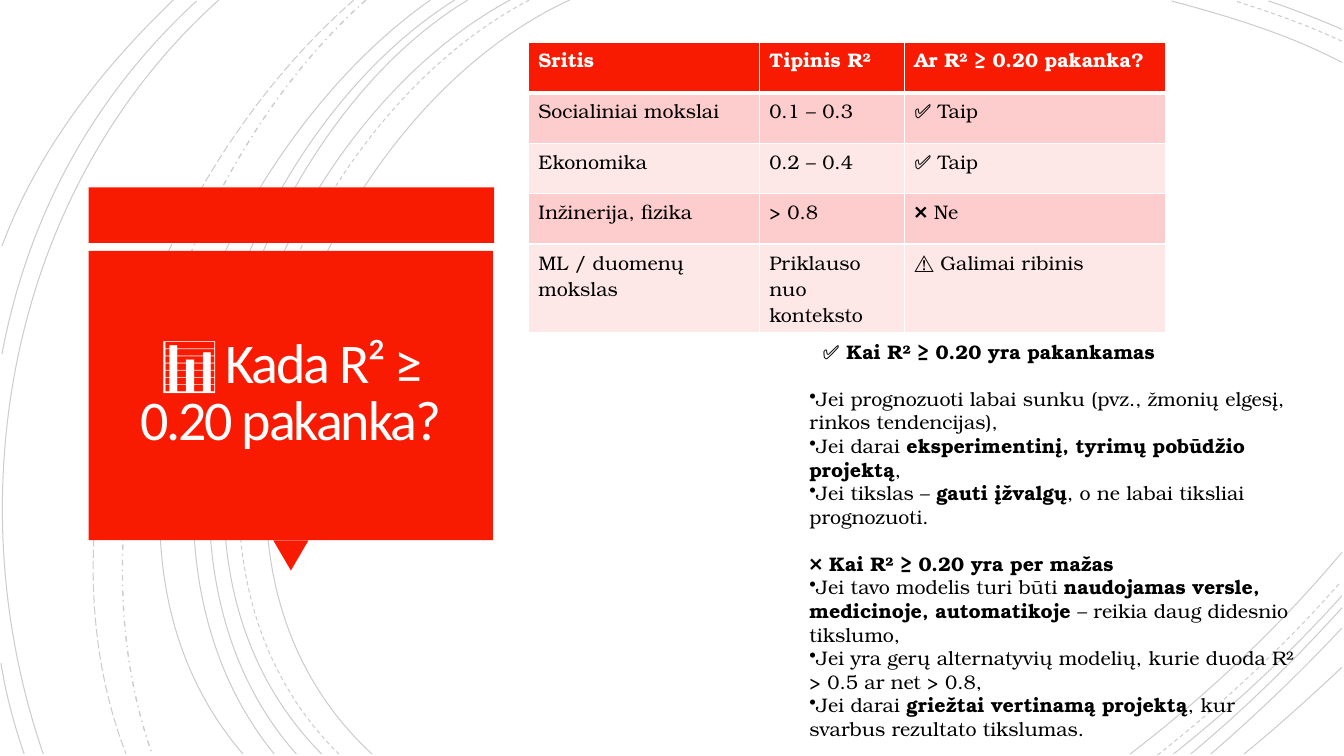
from dataclasses import dataclass
from typing import NamedTuple

import lxml.etree
import pptx
import pptx.dml.color
import pptx.enum.dml
import pptx.enum.shapes
import pptx.enum.text
import pptx.oxml.ns
import pptx.util

Inches = pptx.util.Inches
Pt = pptx.util.Pt
qn = pptx.oxml.ns.qn
SHAPE = pptx.enum.shapes.MSO_SHAPE
DASH = pptx.enum.dml.MSO_LINE


@dataclass(frozen=True)
class Theme:
    red: str = "F81B02"
    band_dark: str = "FCCDCC"
    band_light: str = "FEE8E7"
    ink: str = "000000"
    white: str = "FFFFFF"
    title_ink: str = "FFFEFF"
    title_font: str = "Calibri"
    body_font: str = "TeX Gyre Bonum"
    title_size: float = 40
    body_size: float = 14
    table_leading: float = 18.8
    advice_leading: float = 16.85


class Arc(NamedTuple):
    start: tuple[float, float]
    bend1: tuple[float, float]
    bend2: tuple[float, float]
    end: tuple[float, float]
    dash: pptx.enum.dml.MSO_LINE = DASH.SOLID
    width: float = 0.75


class Block(NamedTuple):
    kind: pptx.enum.shapes.MSO_SHAPE
    left: float
    top: float
    width: float
    height: float
    rotation: float = 0


class Advice(NamedTuple):
    runs: list[tuple[str, bool]]
    bullet: bool = True
    gap: bool = False
    indent: float = 0


THEME = Theme()

ARCS = [
    Arc((5.65, 0), (3.15, 1.15), (1.43, 5.4), (3.69, 7.48)),
    Arc((13.31, 0.62), (12.78, 0.34), (12.18, 0.16), (11.62, 0.01)),
    Arc((11.21, 7.48), (11.97, 6.9), (12.69, 6.22), (13.31, 5.48)),
    Arc((5.25, 0), (2.85, 1.25), (1.23, 5.37), (3.36, 7.48), DASH.DASH),
    Arc((13.31, 0.41), (12.97, 0.25), (12.6, 0.12), (12.25, 0.01), DASH.DASH),
    Arc((11.48, 7.49), (12.13, 6.98), (12.75, 6.4), (13.3, 5.77), DASH.DASH),
    Arc((5.06, 0), (2.7, 1.27), (1.1, 5.37), (3.19, 7.48)),
    Arc((13.31, 0.29), (13.07, 0.19), (12.83, 0.09), (12.58, 0.01)),
    Arc((11.64, 7.48), (12.23, 7.01), (12.8, 6.48), (13.31, 5.91)),
    Arc((4.64, 0), (2.44, 1.33), (1.1, 5.41), (2.94, 7.48)),
    Arc((11.81, 7.48), (12.34, 7.04), (12.84, 6.55), (13.31, 6.03)),
    Arc((4.51, 0), (2.31, 1.38), (0.97, 5.33), (2.72, 7.48)),
    Arc((12.01, 7.48), (12.46, 7.09), (12.9, 6.67), (13.31, 6.23)),
    Arc((4.27, 0), (2.17, 1.47), (0.53, 5.29), (2.41, 7.48)),
    Arc((12.34, 7.48), (12.67, 7.21), (12.99, 6.92), (13.31, 6.62)),
    Arc((3.63, 0), (1.76, 1.66), (0.65, 5.09), (1.51, 7.48), DASH.DASH_DOT, 1),
    Arc((3.51, 0), (1.57, 1.69), (0.29, 4.99), (1.25, 7.48), DASH.LONG_DASH),
    Arc((2.17, 0), (0.11, 1.85), (-0.46, 4.9), (0.43, 7.48)),
    Arc((1.95, 0.01), (0.92, 0.96), (0.28, 2.14), (0.02, 3.51)),
    Arc((0.01, 6.58), (0.06, 6.89), (0.14, 7.19), (0.24, 7.48)),
    Arc((1.72, 0), (1, 0.69), (0.37, 1.5), (0.02, 2.44)),
]

BLOCKS = [
    Block(SHAPE.RECTANGLE, 0.88, 1.86, 4.02, 0.55),
    Block(SHAPE.ISOSCELES_TRIANGLE, 2.71, 5.36, 0.35, 0.3, 180),
    Block(SHAPE.RECTANGLE, 0.88, 2.49, 4.01, 2.87),
]

COLUMN_WIDTHS = [2.29, 1.44, 2.59]
ROW_HEIGHT = 0.5
ROWS = [
    ["Sritis", "Tipinis R²", "Ar R² ≥ 0.20 pakanka?"],
    ["Socialiniai mokslai", "0.1 – 0.3", "✅ Taip"],
    ["Ekonomika", "0.2 – 0.4", "✅ Taip"],
    ["Inžinerija, fizika", "> 0.8", "❌ Ne"],
    ["ML / duomenų mokslas", "Priklauso nuo konteksto", "⚠️ Galimai ribinis"],
]

ADVICE = [
    Advice([("✅ Kai R² ≥ 0.20 yra pakankamas", True)], bullet=False, indent=0.13),
    Advice([("Jei prognozuoti labai sunku (pvz., žmonių elgesį, rinkos tendencijas),", False)], gap=True),
    Advice([("Jei darai ", False), ("eksperimentinį, tyrimų pobūdžio projektą", True), (",", False)]),
    Advice([("Jei tikslas – ", False), ("gauti įžvalgų", True), (", o ne labai tiksliai prognozuoti.", False)]),
    Advice([("❌ Kai R² ≥ 0.20 yra per mažas", True)], bullet=False, gap=True),
    Advice([("Jei tavo modelis turi būti ", False), ("naudojamas versle, medicinoje, automatikoje", True),
            (" – reikia daug didesnio tikslumo,", False)]),
    Advice([("Jei yra gerų alternatyvių modelių, kurie duoda R² > 0.5 ar net > 0.8,", False)]),
    Advice([("Jei darai ", False), ("griežtai vertinamą projektą", True),
            (", kur svarbus rezultato tikslumas.", False)]),
]


def rgb(color: str) -> pptx.dml.color.RGBColor:
    return pptx.dml.color.RGBColor.from_string(color)


def add_run(p, text: str, color: str, bold: bool = False,
            font: str = THEME.body_font, size: float = THEME.body_size):
    r = p.add_run()
    r.text = text
    r.font.name = font
    r.font.size = Pt(size)
    r.font.bold = bold
    r.font.color.rgb = rgb(color)
    return r


def draw_arc(s, arc: Arc) -> None:
    start, *rest = [(Inches(x), Inches(y)) for x, y in arc[:4]]
    builder = s.shapes.build_freeform(*start)
    builder.add_line_segments(rest, close=False)
    sp = builder.convert_to_shape()
    segments = list(sp._element.iter(qn("a:lnTo")))
    curve = lxml.etree.SubElement(segments[0].getparent(), qn("a:cubicBezTo"))
    for segment in segments:
        curve.append(segment[0])
        segment.getparent().remove(segment)
    sp.shadow.inherit = False
    sp.fill.background()
    sp.line.color.rgb = rgb(THEME.ink)
    sp.line.width = Pt(arc.width)
    sp.line.dash_style = arc.dash
    color = next(sp._element.spPr.find(qn("a:ln")).iter(qn("a:srgbClr")))
    lxml.etree.SubElement(color, qn("a:alpha"), val="20000")


def draw_block(s, block: Block) -> None:
    sp = s.shapes.add_shape(block.kind, *map(Inches, block[1:5]))
    sp.rotation = block.rotation
    sp.shadow.inherit = False
    sp.fill.solid()
    sp.fill.fore_color.rgb = rgb(THEME.red)
    sp.line.fill.background()


def draw_title(s) -> None:
    tf = s.shapes.add_textbox(*map(Inches, (0.97, 2.57, 3.83, 2.69))).text_frame
    tf.word_wrap = True
    tf.vertical_anchor = pptx.enum.text.MSO_ANCHOR.MIDDLE
    tf.margin_left = tf.margin_right = tf.margin_top = tf.margin_bottom = Inches(0.25)
    p = tf.paragraphs[0]
    p.alignment = pptx.enum.text.PP_ALIGN.CENTER
    p.line_spacing = 0.85
    r = add_run(p, "📊 Kada R² ≥ 0.20 pakanka?", THEME.title_ink,
                font=THEME.title_font, size=THEME.title_size)
    r._r.get_or_add_rPr().set("spc", "-150")


def set_borders(cell, bottom: float) -> None:
    tc_pr = cell._tc.get_or_add_tcPr()
    for index, (side, width) in enumerate((("L", 1), ("R", 1), ("T", 1), ("B", bottom))):
        ln = lxml.etree.Element(qn(f"a:ln{side}"), w=str(Pt(width)))
        fill = lxml.etree.SubElement(ln, qn("a:solidFill"))
        lxml.etree.SubElement(fill, qn("a:srgbClr"), val=THEME.white)
        tc_pr.insert(index, ln)


def draw_table(s) -> None:
    size = (sum(COLUMN_WIDTHS), ROW_HEIGHT * len(ROWS))
    table = s.shapes.add_table(len(ROWS), len(COLUMN_WIDTHS),
                               *map(Inches, (5.24, 0.42, *size))).table
    for column, width in zip(table.columns, COLUMN_WIDTHS):
        column.width = Inches(width)
    for i, texts in enumerate(ROWS):
        header = i == 0
        band = THEME.band_dark if i % 2 else THEME.band_light
        for j, text in enumerate(texts):
            cell = table.cell(i, j)
            cell.fill.solid()
            cell.fill.fore_color.rgb = rgb(THEME.red if header else band)
            set_borders(cell, 3 if header else 1)
            p = cell.text_frame.paragraphs[0]
            p.line_spacing = Pt(THEME.table_leading)
            add_run(p, text, THEME.white if header else THEME.ink, header)


def draw_advice(s) -> None:
    tf = s.shapes.add_textbox(*map(Inches, (7.93, 3.32, 5.16, 3.87))).text_frame
    tf.word_wrap = True
    tf.auto_size = pptx.enum.text.MSO_AUTO_SIZE.SHAPE_TO_FIT_TEXT
    for i, advice in enumerate(ADVICE):
        p = tf.add_paragraph() if i else tf.paragraphs[0]
        p_pr = p._p.get_or_add_pPr()
        p_pr.set("marL", str(Inches(advice.indent)))
        p_pr.set("indent", "0")
        if advice.bullet:
            lxml.etree.SubElement(p_pr, qn("a:buChar"), char="•")
        p.line_spacing = Pt(THEME.advice_leading)
        if advice.gap:
            p.space_before = Pt(THEME.advice_leading)
        for text, bold in advice.runs:
            add_run(p, text, THEME.ink, bold)


def main() -> None:
    prs = pptx.Presentation()
    prs.slide_width, prs.slide_height = Inches(13.33), Inches(7.5)
    s = prs.slides.add_slide(prs.slide_layouts[6])
    for arc in ARCS:
        draw_arc(s, arc)
    for block in BLOCKS:
        draw_block(s, block)
    draw_title(s)
    draw_table(s)
    draw_advice(s)
    prs.save("out.pptx")


if __name__ == "__main__":
    main()
